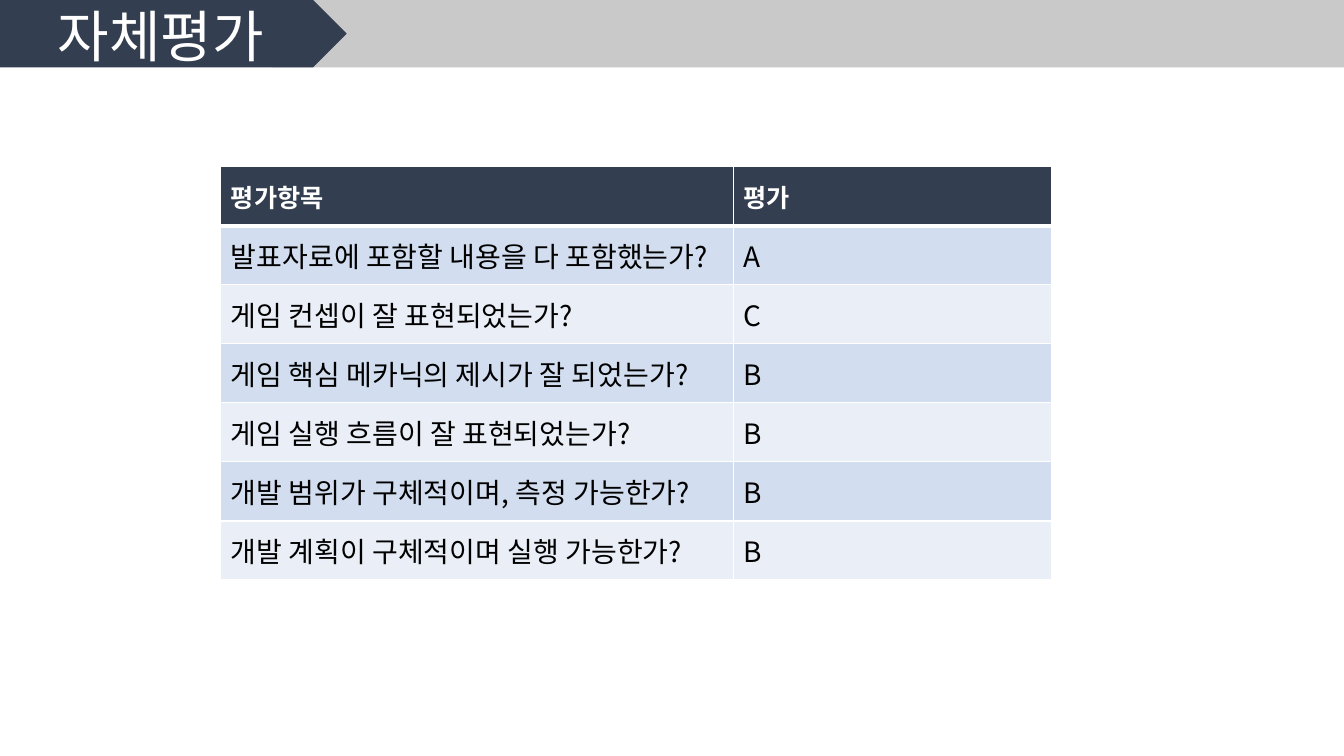
from lxml import etree
from pptx import Presentation
from pptx.dml.color import RGBColor
from pptx.enum.shapes import MSO_SHAPE
from pptx.enum.text import MSO_ANCHOR, PP_ALIGN
from pptx.oxml.ns import qn
from pptx.util import Pt

RECT, ARROW = MSO_SHAPE.RECTANGLE, MSO_SHAPE.PENTAGON
MIDDLE = MSO_ANCHOR.MIDDLE
LEFT, CENTER = PP_ALIGN.LEFT, PP_ALIGN.CENTER

# Content
TITLE = "자체평가"
ROWS = [
    ("평가항목", "평가"),
    ("발표자료에 포함할 내용을 다 포함했는가?", "A"),
    ("게임 컨셉이 잘 표현되었는가?", "C"),
    ("게임 핵심 메카닉의 제시가 잘 되었는가?", "B"),
    ("게임 실행 흐름이 잘 표현되었는가?", "B"),
    ("개발 범위가 구체적이며, 측정 가능한가?", "B"),
    ("개발 계획이 구체적이며 실행 가능한가?", "B"),
]

# Style
FONT = "Noto Sans CJK KR"
WHITE = RGBColor(0xFF, 0xFF, 0xFF)
BLACK = RGBColor(0, 0, 0)
NAVY = RGBColor(0x33, 0x3F, 0x50)
GREY = RGBColor(0xC9, 0xC9, 0xC9)
BANDS = [RGBColor(0xEA, 0xEF, 0xF7), RGBColor(0xD2, 0xDE, 0xEF)]

# Layout, in points
WIDE, HIGH = 960, 540
BAR = 48.2
COLS = [366, 227.3]
ROW = 42.2


def write(frame, text, size=20, color=BLACK, bold=False, align=LEFT):
    para = frame.paragraphs[0]
    para.alignment = align
    run = para.add_run()
    run.text = text
    font = run.font
    font.name, font.size, font.bold = FONT, Pt(size), bold
    font.color.rgb = color
    etree.SubElement(font._element, qn("a:ea"), typeface=FONT)


def block(slide, kind, left, width, color):
    shape = slide.shapes.add_shape(kind, Pt(left), 0, Pt(width), Pt(BAR))
    shape.shadow.inherit = False
    shape.fill.solid()
    shape.fill.fore_color.rgb = color
    shape.line.fill.background()


def edge(cell, side, width):
    line = etree.Element(qn("a:" + side), w=str(Pt(width)))
    fill = etree.SubElement(line, qn("a:solidFill"))
    etree.SubElement(fill, qn("a:srgbClr"), val=str(WHITE))
    return line


def style(cell, color, top, bottom):
    cell.vertical_anchor = MIDDLE
    cell.fill.solid()
    cell.fill.fore_color.rgb = color
    sides = [("lnL", 1), ("lnR", 1), ("lnT", top), ("lnB", bottom)]
    props = cell._tc.get_or_add_tcPr()
    for spot, (side, width) in enumerate(sides):
        props.insert(spot, edge(cell, side, width))


def main():
    deck = Presentation()
    deck.slide_width, deck.slide_height = Pt(WIDE), Pt(HIGH)
    slide = deck.slides.add_slide(deck.slide_layouts[6])

    # Title bar
    block(slide, RECT, 194.4, WIDE - 194.4, GREY)
    block(slide, ARROW, 0, 247.7, NAVY)
    box = slide.shapes.add_textbox(Pt(32.4), Pt(-4.3), Pt(165), Pt(58.3))
    box.text_frame.word_wrap = True
    box.text_frame.vertical_anchor = MIDDLE
    write(box.text_frame, TITLE, size=40, color=WHITE, align=CENTER)

    # Rating table
    table = slide.shapes.add_table(
        len(ROWS), len(COLS), Pt(157.7), Pt(119),
        Pt(sum(COLS)), Pt(ROW * len(ROWS))).table
    for col, width in zip(table.columns, COLS):
        col.width = Pt(width)
    for r, row in enumerate(ROWS):
        table.rows[r].height = Pt(ROW)
        head = r == 0
        for c, text in enumerate(row):
            cell = table.cell(r, c)
            style(cell, NAVY if head else BANDS[r % 2],
                  top=3 if r == 1 else 1, bottom=3 if head else 1)
            write(cell.text_frame, text, size=18 if head else 20,
                  color=WHITE if head else BLACK, bold=head)

    deck.save("out.pptx")


if __name__ == "__main__":
    main()
